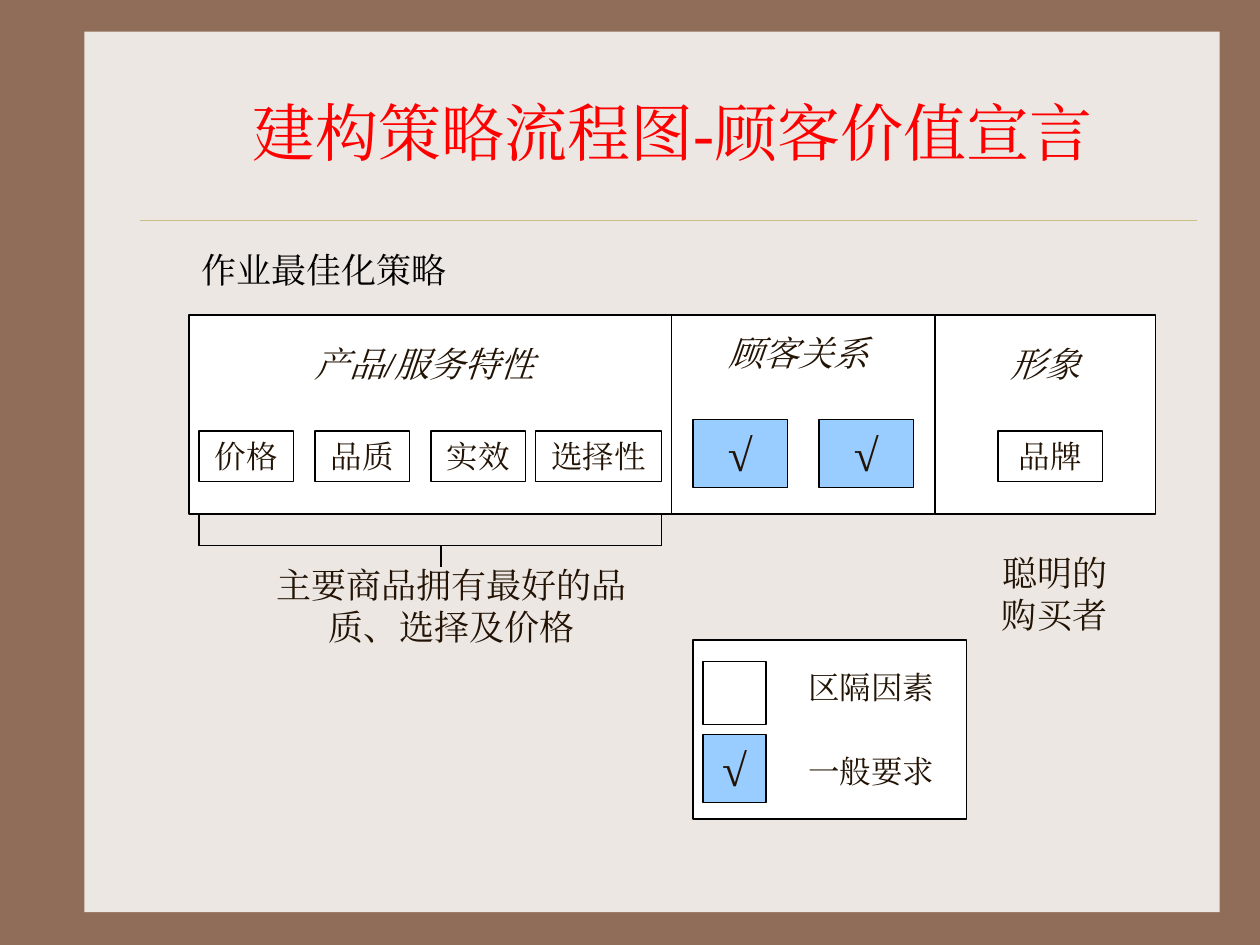
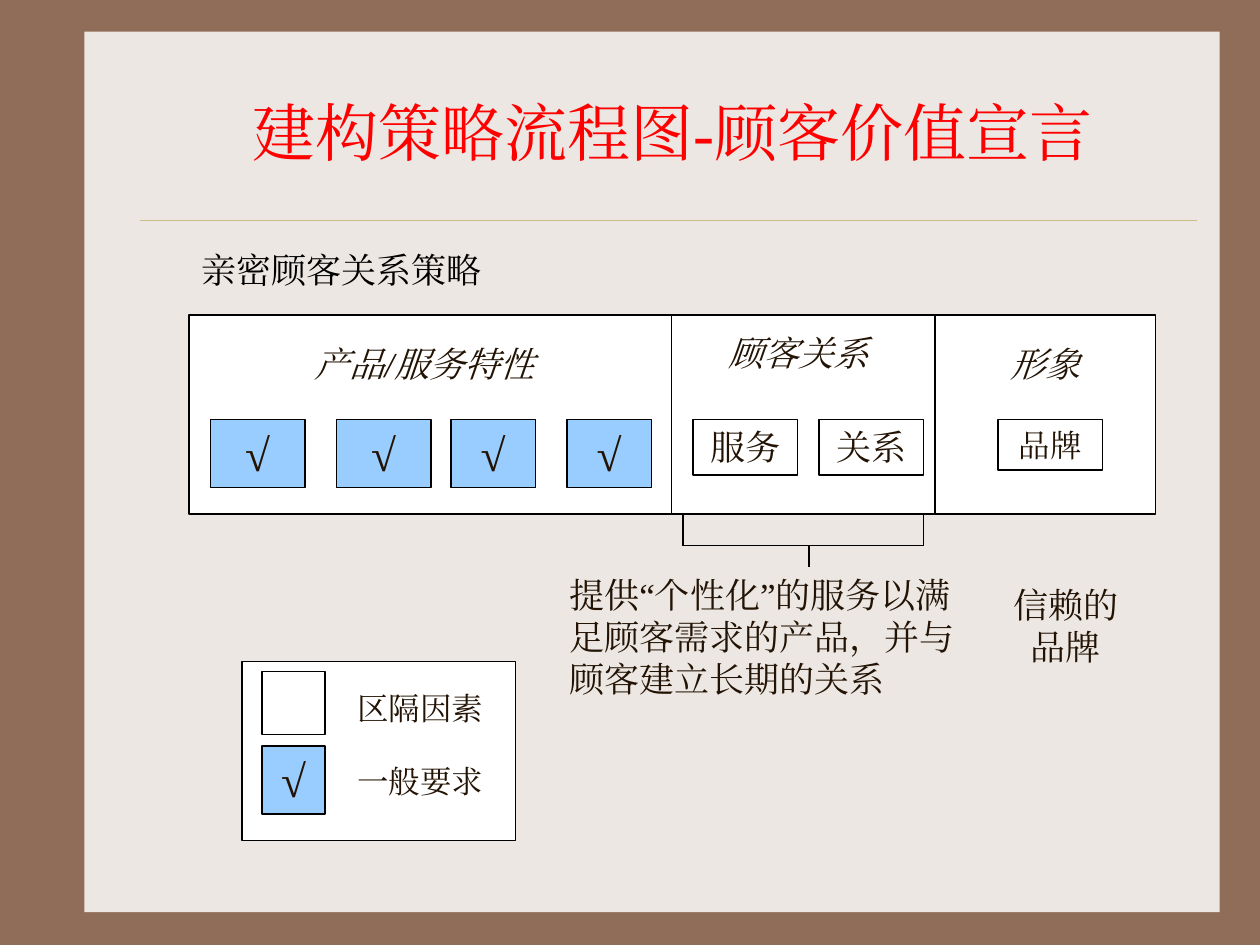
import dataclasses

import lxml.etree
import pptx
import pptx.dml.color
import pptx.enum.lang
import pptx.enum.shapes
import pptx.enum.text
import pptx.oxml.ns
import pptx.util

Inches = pptx.util.Inches
Align = pptx.enum.text.PP_ALIGN
Anchor = pptx.enum.text.MSO_ANCHOR


@dataclasses.dataclass(frozen=True)
class Theme:
    font: str = "Times New Roman"
    frame: str = "906D58"
    panel: str = "EDE7E3"
    rule: str = "CBBD83"
    title: str = "FF0000"
    ink: str = "221304"
    black: str = "000000"
    white: str = "FFFFFF"
    general: str = "99CCFF"
    title_size: int = 36
    tick_size: int = 26
    text_size: int = 20
    label_size: int = 18
    line_width: float = 0.75
    rule_width: float = 0.25


def rgb(value):
    return pptx.dml.color.RGBColor.from_string(value)


def add_element(parent, tag, **attributes):
    name = pptx.oxml.ns.qn(tag)
    return lxml.etree.SubElement(parent, name, attributes)


class ValueDeck:
    TABLE_LEFT, TABLE_TOP, TABLE_WIDTH, TABLE_HEIGHT = 1.5, 2.5, 7.67, 1.58
    TABLE_BOTTOM = TABLE_TOP + TABLE_HEIGHT
    COLUMN_EDGES = (5.33, 7.42)
    HEADINGS = (
        ("产品/服务特性", 2.33, 2.67, 2.08),
        ("顾客关系", 5.5, 2.58, 1.67),
        ("形象", 7.67, 2.67, 1.25),
    )

    def __init__(self, theme):
        self.theme = theme
        self.deck = pptx.Presentation()
        self.deck.slide_width = Inches(10)
        self.deck.slide_height = Inches(7.5)
        fill = self.deck.slide_master.background.fill
        fill.solid()
        fill.fore_color.rgb = rgb(theme.frame)
        self.page = None

    def set_text(self, box, text, size, color=None, align=Align.CENTER,
                 anchor=Anchor.TOP, italic=False):
        frame = box.text_frame
        frame.word_wrap = True
        frame.auto_size = pptx.enum.text.MSO_AUTO_SIZE.NONE
        frame.vertical_anchor = anchor
        frame.margin_left = frame.margin_right = Inches(0.1)
        frame.margin_top = frame.margin_bottom = Inches(0.05)
        para = frame.paragraphs[0]
        para.alignment = align
        para.space_before = pptx.util.Pt(0)
        span = para.add_run()
        span.text = text
        span.font.name = self.theme.font
        span.font.size = pptx.util.Pt(size)
        span.font.italic = italic
        span.font.color.rgb = rgb(color or self.theme.ink)
        span.font.language_id = pptx.enum.lang.MSO_LANGUAGE_ID.SIMPLIFIED_CHINESE
        add_element(span.font._element, "a:ea", typeface=self.theme.font)
        return para

    def place(self, box, left, top, width, height):
        box.left, box.top = Inches(left), Inches(top)
        box.width, box.height = Inches(width), Inches(height)

    def rectangle(self, left, top, width, height, fill, outlined=True):
        box = self.page.shapes.add_shape(
            pptx.enum.shapes.MSO_SHAPE.RECTANGLE,
            Inches(left), Inches(top), Inches(width), Inches(height))
        box.shadow.inherit = False
        box.fill.solid()
        box.fill.fore_color.rgb = rgb(fill)
        if outlined:
            box.line.color.rgb = rgb(self.theme.black)
            box.line.width = pptx.util.Pt(self.theme.line_width)
        else:
            box.line.fill.background()
        return box

    def line(self, x1, y1, x2, y2, color=None, width=None):
        connector = self.page.shapes.add_connector(
            pptx.enum.shapes.MSO_CONNECTOR.STRAIGHT,
            Inches(x1), Inches(y1), Inches(x2), Inches(y2))
        connector.line.color.rgb = rgb(color or self.theme.black)
        connector.line.width = pptx.util.Pt(width or self.theme.line_width)
        add_element(connector._element.spPr, "a:effectLst")

    def text(self, text, left, top, width, height=0.44, size=None, **style):
        box = self.page.shapes.add_textbox(
            Inches(left), Inches(top), Inches(width), Inches(height))
        self.set_text(box, text, size or self.theme.text_size, **style)

    def chip(self, text, left, top, width, height=0.4, size=None):
        box = self.rectangle(left, top, width, height, self.theme.white)
        self.set_text(box, text, size or self.theme.label_size)

    def tick(self, left, top=3.33, width=0.75):
        box = self.rectangle(left, top, width, 0.54, self.theme.general)
        self.set_text(box, "√", self.theme.tick_size)

    def bracket(self, left, right, stem):
        top, bar = self.TABLE_BOTTOM, 4.33
        for x in (left, right):
            self.line(x, top, x, bar)
        self.line(left, bar, right, bar)
        self.line(stem, bar, stem, 4.5)

    def legend(self, left, top, key_left, label_left, key_tops, label_tops):
        self.rectangle(left, top, 2.17, 1.42, self.theme.white)
        self.rectangle(key_left, key_tops[0], 0.5, 0.5, self.theme.white)
        self.tick(key_left, key_tops[1], 0.5)
        for label, label_top in zip(("区隔因素", "一般要求"), label_tops):
            self.text(label, label_left, label_top, 1.33, 0.4,
                      self.theme.label_size)

    def start_page(self, strategy):
        theme = self.theme
        self.page = self.deck.slides.add_slide(self.deck.slide_layouts[1])
        title, body = self.page.placeholders
        self.rectangle(0.67, 0.25, 9.01, 6.99, theme.panel, outlined=False)
        self.line(1.11, 1.75, 9.5, 1.75, theme.rule, theme.rule_width)
        for placeholder in (title, body):
            self.page.shapes._spTree.append(placeholder._element)
        self.place(title, 1.17, 0.42, 8.33, 1.25)
        self.set_text(title, "建构策略流程图-顾客价值宣言", theme.title_size,
                      theme.title, anchor=Anchor.MIDDLE)
        self.place(body, 1.5, 1.92, 3, 0.5)
        para = self.set_text(body, strategy, theme.text_size, theme.black,
                             Align.LEFT)
        properties = para._p.get_or_add_pPr()
        properties.set("marL", "0")
        properties.set("indent", "0")
        add_element(properties, "a:buNone")
        self.value_table()

    def value_table(self):
        self.rectangle(self.TABLE_LEFT, self.TABLE_TOP, self.TABLE_WIDTH,
                       self.TABLE_HEIGHT, self.theme.white)
        for edge in self.COLUMN_EDGES:
            self.line(edge, self.TABLE_TOP, edge, self.TABLE_BOTTOM)
        for heading, left, top, width in self.HEADINGS:
            self.text(heading, left, top, width, italic=True)


def add_operations_page(deck):
    deck.start_page("作业最佳化策略")
    for index, feature in enumerate(("价格", "品质", "实效")):
        deck.chip(feature, 1.58 + 0.92 * index, 3.42, 0.75)
    deck.chip("选择性", 4.25, 3.42, 1)
    for left in (5.5, 6.5):
        deck.tick(left)
    deck.chip("品牌", 7.92, 3.42, 0.83)
    deck.bracket(1.58, 5.25, 3.5)
    deck.text("主要商品拥有最好的品质、选择及价格", 2, 4.42, 3.17, 0.77)
    deck.legend(5.5, 5.08, 5.58, 6.25, (5.25, 5.83), (5.25, 5.92))
    deck.text("聪明的购买者", 7.83, 4.33, 1.08, 0.77)


def add_intimacy_page(deck):
    deck.start_page("亲密顾客关系策略")
    for left, width in ((1.67, 0.75), (2.67, 0.75), (3.58, 0.67), (4.5, 0.67)):
        deck.tick(left, width=width)
    for left, feature in ((5.5, "服务"), (6.5, "关系")):
        deck.chip(feature, left, 3.33, 0.83, 0.44, deck.theme.text_size)
    deck.chip("品牌", 7.92, 3.33, 0.83)
    deck.bracket(5.42, 7.33, 6.42)
    deck.text("提供“个性化”的服务以满足顾客需求的产品，并与顾客建立长期的关系",
              4.42, 4.5, 3.5, 1.1, align=Align.LEFT)
    deck.legend(1.92, 5.25, 2.08, 2.67, (5.33, 5.92), (5.42, 6))
    deck.text("信赖的品牌", 7.92, 4.58, 1.08, 0.77)


def main():
    deck = ValueDeck(Theme())
    add_operations_page(deck)
    add_intimacy_page(deck)
    deck.deck.save("out.pptx")


if __name__ == "__main__":
    main()
